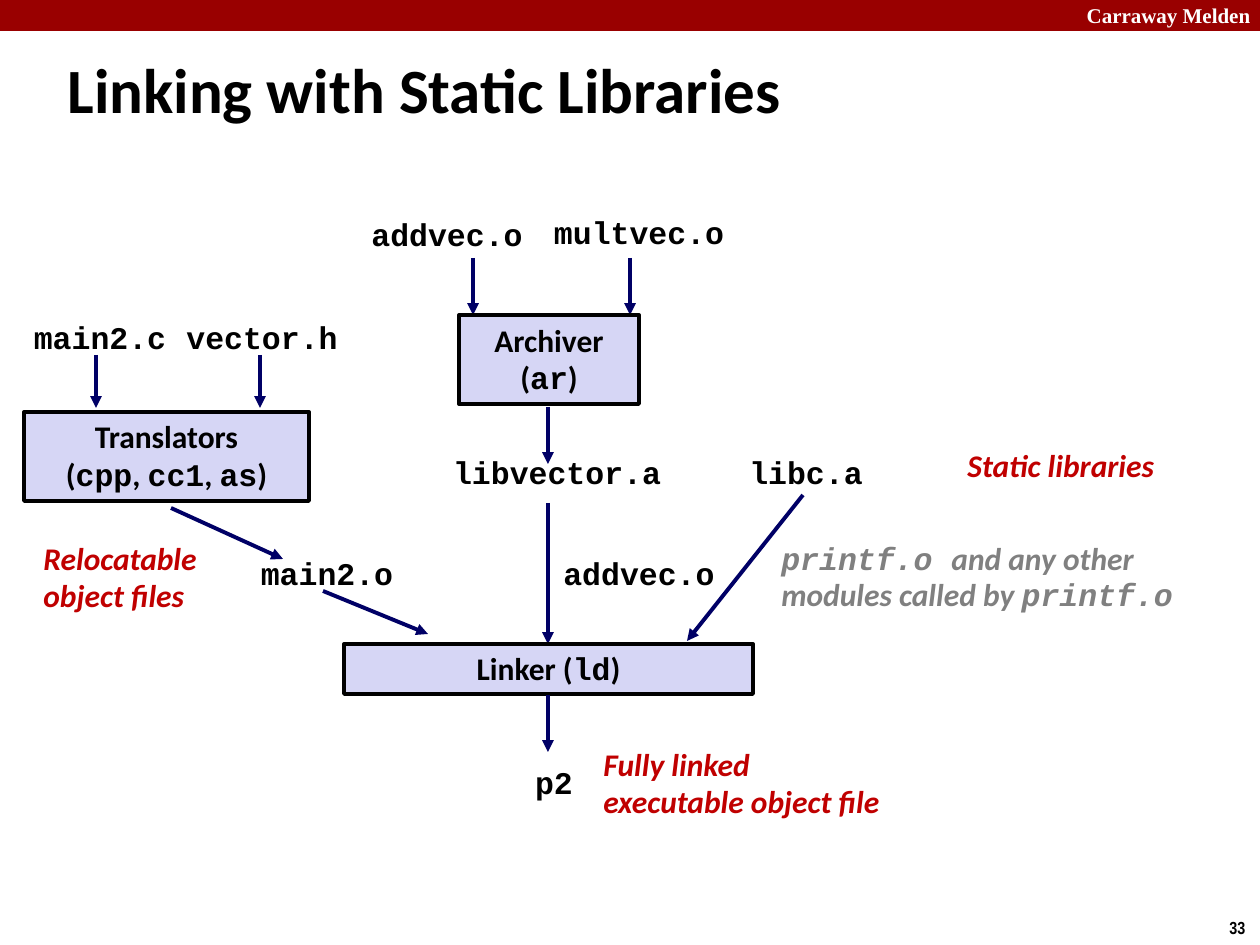
import dataclasses
import typing

import lxml.etree
import pptx
import pptx.dml.color
import pptx.enum.shapes
import pptx.enum.text
import pptx.oxml.ns
import pptx.util

SCALE = 914400 / 126
COLORS = {
    "band": "990000",
    "band_text": "FFFFFF",
    "text": "000000",
    "step": "D6D6F5",
    "arrow": "000066",
    "note": "C00000",
    "muted": "808080",
}
SANS, CODE = "Calibri", "Courier New"
LEFT = pptx.enum.text.PP_ALIGN.LEFT
CENTER = pptx.enum.text.PP_ALIGN.CENTER
RIGHT = pptx.enum.text.PP_ALIGN.RIGHT
RECTANGLE = pptx.enum.shapes.MSO_SHAPE.RECTANGLE


def px(length):
    """Turn a length in px into EMU."""
    return pptx.util.Emu(round(length * SCALE))


def color(name):
    """Look up a named colour."""
    return pptx.dml.color.RGBColor.from_string(COLORS[name])


def add_span(para, text, size, font, ink="text", italic=False):
    """Add one bold run to a paragraph."""
    span = para.add_run()
    span.text = text
    span.font.size = pptx.util.Pt(size)
    span.font.name = font
    span.font.bold = True
    span.font.italic = italic
    span.font.color.rgb = color(ink)


def write_lines(frame, lines, align, spacing, ink="text", italic=False):
    """Write one paragraph per line, with code between backticks."""
    for number, line in enumerate(lines):
        para = frame.add_paragraph() if number else frame.paragraphs[0]
        para.alignment = align
        para.line_spacing = spacing
        for part, text in enumerate(line.split("`")):
            if text:
                add_span(para, text, 18, CODE if part % 2 else SANS, ink, italic)


def add_rectangle(page, left, top, width, height, fill):
    """Add a plain filled rectangle without a line."""
    box = page.shapes.add_shape(RECTANGLE, px(left), px(top), px(width), px(height))
    box.shadow.inherit = False
    box.fill.solid()
    box.fill.fore_color.rgb = color(fill)
    box.line.fill.background()
    return box


@dataclasses.dataclass
class Region:
    """Part of the diagram, with positions relative to its left and top."""

    page: typing.Any
    left: int
    top: int

    def label(self, center, top, name):
        """Add a file name centred on a point, as wide as its letters."""
        width = 25 + 19 * len(name)
        box = self.page.shapes.add_textbox(
            px(self.left + center - width / 2), px(self.top + top), px(width), px(49))
        box.text_frame.word_wrap = False
        write_lines(box.text_frame, [f"`{name}`"], CENTER, 0.94)

    def note(self, left, top, width, lines, ink="note", spacing=0.98):
        """Add an italic remark."""
        box = self.page.shapes.add_textbox(
            px(self.left + left), px(self.top + top), px(width), px(12 + 38 * len(lines)))
        box.text_frame.word_wrap = False
        write_lines(box.text_frame, lines, LEFT, spacing, ink, True)

    def step(self, left, top, width, lines):
        """Add an outlined box for one tool."""
        box = add_rectangle(self.page, self.left + left, self.top + top,
                            width, 11 + 39 * len(lines), "step")
        box.line.color.rgb = color("text")
        box.line.width = pptx.util.Pt(2.25)
        box.text_frame.word_wrap = True
        write_lines(box.text_frame, lines, CENTER, 0.98)

    def arrow(self, start_x, start_y, end_x, end_y):
        """Add an arrow that points at its end."""
        line = self.page.shapes.add_connector(
            pptx.enum.shapes.MSO_CONNECTOR.STRAIGHT,
            px(self.left + start_x), px(self.top + start_y),
            px(self.left + end_x), px(self.top + end_y))
        line.line.color.rgb = color("arrow")
        line.line.width = pptx.util.Pt(2.25)
        qn = pptx.oxml.ns.qn
        lxml.etree.SubElement(line.line._get_or_add_ln(), qn("a:tailEnd"), type="triangle")
        lxml.etree.SubElement(line._element.spPr, qn("a:effectLst"))


def add_frame(page):
    """Add the top band, the school name and the page number."""
    add_rectangle(page, 0, 0, 1260, 31, "band")
    for box, text, size, font, ink, align in (
        ((1063, -4, 200, 38), "Carraway Melden", 12, "Times New Roman", "band_text", RIGHT),
        ((1217, 911, 43, 34), "33", 10, "Arial Narrow", "text", LEFT),
    ):
        frame = page.shapes.add_textbox(*map(px, box)).text_frame
        frame.word_wrap = False
        frame.paragraphs[0].alignment = align
        add_span(frame.paragraphs[0], text, size, font, ink)


def add_title(page, text):
    """Move and fill the title placeholder."""
    title = page.shapes.title
    title.left, title.top, title.width, title.height = map(px, (55, 34, 1201, 108))
    title.text_frame.vertical_anchor = pptx.enum.text.MSO_ANCHOR.MIDDLE
    para = title.text_frame.paragraphs[0]
    para.alignment = LEFT
    add_span(para, text, 36, SANS)


def add_translation(page, left, top):
    """Draw the sources turned into a relocatable object file."""
    region = Region(page, left, top)
    for center, tip, name in ((76, 72, "main2.c"), (238, 236, "vector.h")):
        region.label(center, 0, name)
        region.arrow(tip, 40, tip, 93)
    region.step(0, 97, 285, ["Translators", "(`cpp`, `cc1`, `as`)"])
    region.arrow(147, 193, 259, 244)
    region.label(303, 236, "main2.o")
    region.note(7, 220, 180, ["Relocatable", "object files"])


def add_archiving(page, left, top):
    """Draw the object files gathered into a static library."""
    region = Region(page, left, top)
    for center, label_top, tip, name in ((88, 2, 114, "addvec.o"), (280, 0, 271, "multvec.o")):
        region.label(center, label_top, name)
        region.arrow(tip, 48, tip, 105)
    region.step(100, 105, 180, ["Archiver", "(`ar`)"])
    region.arrow(189, 197, 189, 254)
    region.label(198, 240, "libvector.a")


def add_linking(page, left, top):
    """Draw the inputs joined by the linker into the program."""
    region = Region(page, left, top)
    region.label(483, 8, "libc.a")
    region.note(632, 0, 214, ["Static libraries"])
    region.label(316, 109, "addvec.o")
    region.note(446, 93, 438,
                ["`printf.o `and any other", "modules called by `printf.o`"], "muted", 0.96)
    region.arrow(0, 149, 105, 192)
    region.arrow(225, 61, 225, 202)
    region.arrow(480, 53, 364, 199)
    region.step(21, 202, 409, ["Linker (`ld`)"])
    region.arrow(225, 253, 225, 310)
    region.label(231, 318, "p2")
    region.note(268, 299, 305, ["Fully linked", "executable object file"])


def main():
    """Build and save the deck."""
    deck = pptx.Presentation()
    deck.slide_width, deck.slide_height = px(1260), px(945)
    page = deck.slides.add_slide(deck.slide_layouts.get_by_name("Title Only"))
    add_frame(page)
    add_title(page, "Linking with Static Libraries")
    add_translation(page, 24, 315)
    add_archiving(page, 359, 210)
    add_linking(page, 323, 442)
    deck.save("out.pptx")


if __name__ == "__main__":
    main()
